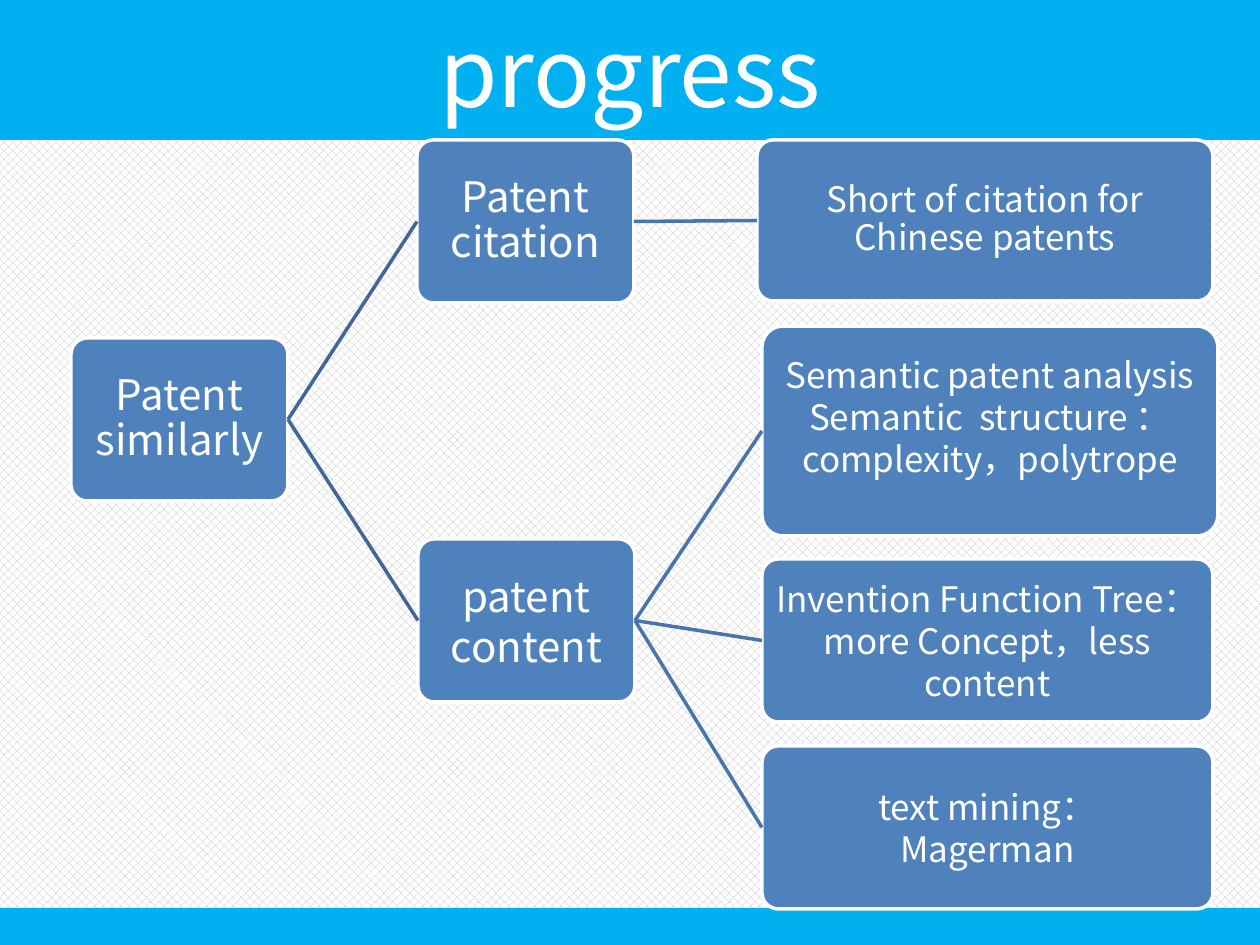
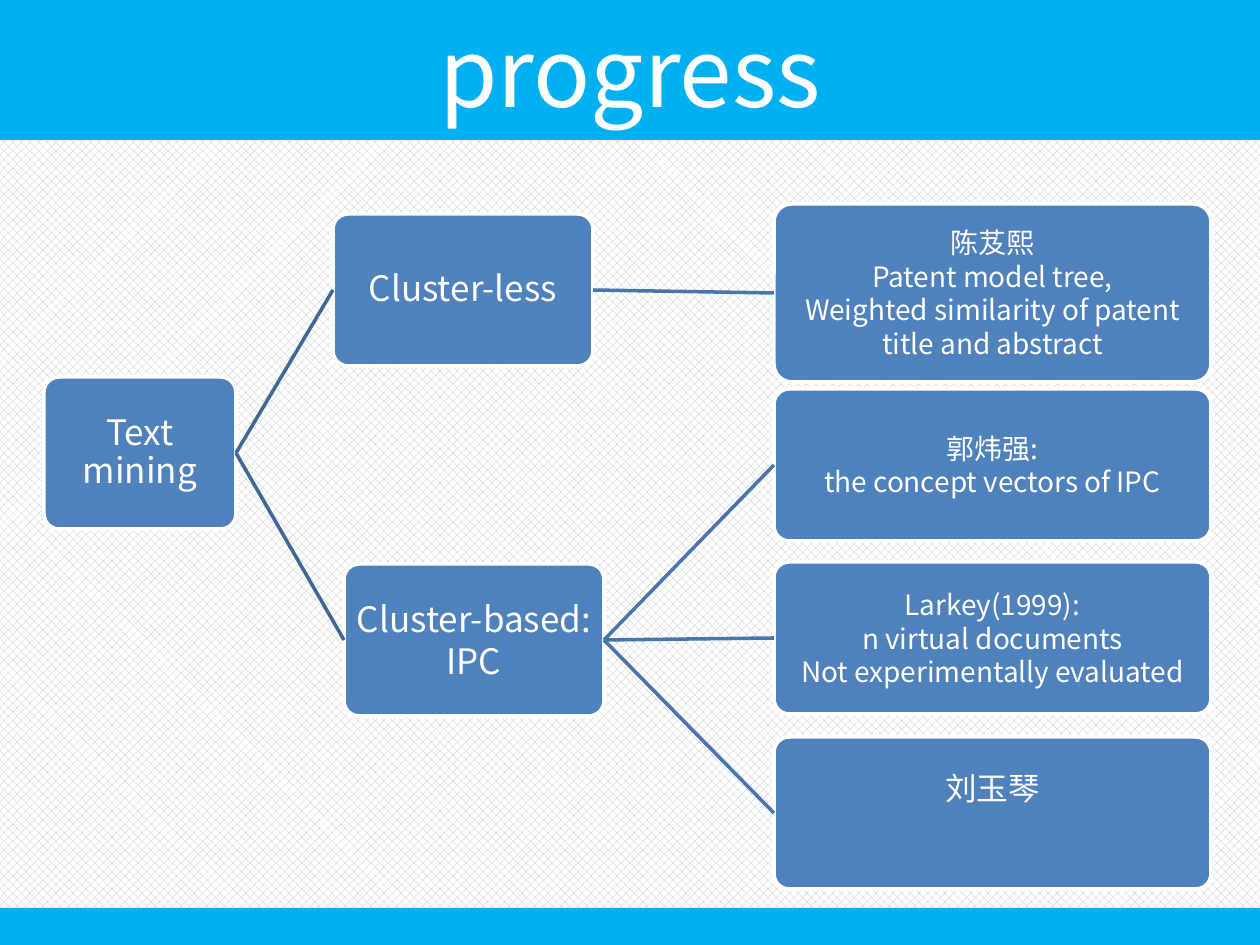
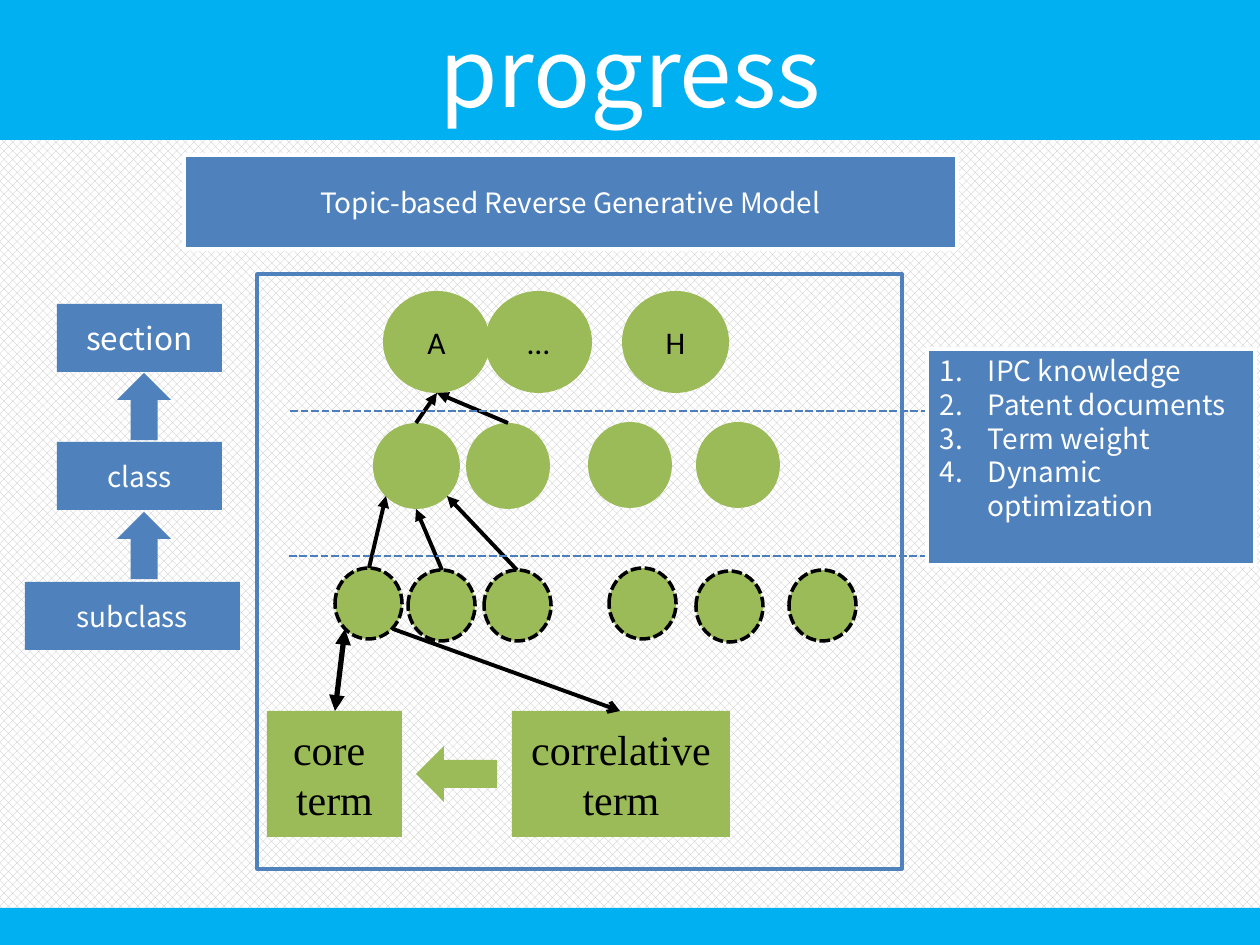
from dataclasses import dataclass
from typing import Any, NamedTuple, Optional

from lxml import etree
from pptx import Presentation
from pptx.dml.color import RGBColor
from pptx.enum.dml import MSO_LINE, MSO_PATTERN
from pptx.enum.shapes import MSO_CONNECTOR, MSO_SHAPE
from pptx.enum.text import MSO_ANCHOR, MSO_AUTO_SIZE, PP_ALIGN
from pptx.oxml.ns import qn
from pptx.util import Emu, Pt

RECT = MSO_SHAPE.RECTANGLE
ROUND = MSO_SHAPE.ROUNDED_RECTANGLE
CIRCLE = MSO_SHAPE.FLOWCHART_CONNECTOR
UP_ARROW = MSO_SHAPE.UP_ARROW
LEFT_ARROW = MSO_SHAPE.LEFT_ARROW
STRAIGHT = MSO_CONNECTOR.STRAIGHT
SYS_DASH = MSO_LINE.SQUARE_DOT
PATTERN = MSO_PATTERN.PERCENT_50
MIDDLE = MSO_ANCHOR.MIDDLE
CENTER = PP_ALIGN.CENTER
LEFT = PP_ALIGN.LEFT
NO_FIT = MSO_AUTO_SIZE.NONE

WHITE = RGBColor(0xFF, 0xFF, 0xFF)
BLACK = RGBColor(0x00, 0x00, 0x00)
GRAY = RGBColor(0xBF, 0xBF, 0xBF)
CYAN = RGBColor(0x00, 0xB0, 0xF0)
BLUE = RGBColor(0x4F, 0x81, 0xBD)
GREEN = RGBColor(0x9B, 0xBB, 0x59)
DIVIDER = RGBColor(0x4B, 0x7E, 0xBC)
BRANCH = RGBColor(0x3F, 0x67, 0x97)
TWIG = RGBColor(0x48, 0x75, 0xAC)

SANS = "Noto Sans CJK SC"
TITLE_FONT = "Noto Sans CJK JP"
LATIN = "Calibri"
SERIF = "Times New Roman"

PX_PER_INCH = 126
SLIDE_W, SLIDE_H = 1260, 945
TITLE_H, FOOTER_TOP = 139, 908
RIGHT_SITE, LEFT_SITE = 3, 1


@dataclass
class Text:
    lines: list[str]
    size: int
    font: str = SANS
    color: RGBColor = WHITE
    spacing: Optional[float] = None
    inset: tuple[int, int] = (13, 6)
    lift: int = 0
    numbered: bool = False


@dataclass
class Block:
    kind: Any
    left: int
    top: int
    width: int
    height: int
    fill: Optional[RGBColor] = BLUE
    line: Optional[RGBColor] = None
    dash: Any = None
    text: Optional[Text] = None


@dataclass
class Node:
    left: int
    top: int
    width: int
    height: int
    lines: list[str]
    size: int
    parent: Optional[int] = None
    spacing: Optional[float] = None
    lift: int = 0
    font: str = SANS


class Link(NamedTuple):
    x1: int
    y1: int
    x2: int
    y2: int
    color: RGBColor = BLACK
    weight: float = 2.25
    head: str = ""
    tail: str = ""
    dash: Any = None


def px(value: int) -> Emu:
    return Emu(round(value * 914400 / PX_PER_INCH))


def apply(obj: Any, **values: Any) -> None:
    for name, value in values.items():
        setattr(obj, name, value)


def paint(sp: Any, fill: Optional[RGBColor], line: Optional[RGBColor],
          weight: float = 2, dash: Any = None) -> None:
    if fill is None:
        sp.fill.background()
    else:
        sp.fill.solid()
        sp.fill.fore_color.rgb = fill
    if line is None:
        sp.line.fill.background()
    else:
        sp.line.color.rgb = line
        apply(sp.line, width=Pt(weight), dash_style=dash)


def number(p: Any) -> None:
    pPr = p._p.get_or_add_pPr()
    indent = px(48)
    pPr.set("marL", str(indent))
    pPr.set("indent", str(-indent))
    etree.SubElement(pPr, qn("a:buFont"), typeface="+mj-lt")
    etree.SubElement(pPr, qn("a:buAutoNum"), type="arabicPeriod")


def write(sp: Any, text: Text) -> None:
    tf = sp.text_frame
    side, edge = text.inset
    apply(tf, word_wrap=True, auto_size=NO_FIT, vertical_anchor=MIDDLE,
          margin_left=px(side), margin_right=px(side),
          margin_top=px(edge), margin_bottom=px(edge + text.lift))
    for i, line in enumerate(text.lines):
        p = tf.add_paragraph() if i else tf.paragraphs[0]
        apply(p, alignment=LEFT if text.numbered else CENTER,
              line_spacing=text.spacing)
        if text.numbered:
            number(p)
        r = p.add_run()
        apply(r, text=line)
        apply(r.font, size=Pt(text.size), name=text.font)
        r.font.color.rgb = text.color
        east_asian = SANS if text.font == LATIN else text.font
        etree.SubElement(r._r.get_or_add_rPr(), qn("a:ea"), typeface=east_asian)


def add_block(slide: Any, b: Block) -> Any:
    sp = slide.shapes.add_shape(b.kind, px(b.left), px(b.top),
                                px(b.width), px(b.height))
    sp.shadow.inherit = False
    paint(sp, b.fill, b.line, dash=b.dash)
    if b.text:
        write(sp, b.text)
    return sp


def add_link(slide: Any, link: Link) -> Any:
    cx = slide.shapes.add_connector(STRAIGHT, px(link.x1), px(link.y1),
                                    px(link.x2), px(link.y2))
    cx.line.color.rgb = link.color
    apply(cx.line, width=Pt(link.weight), dash_style=link.dash)
    ln = cx.line._get_or_add_ln()
    for tag, end in (("a:headEnd", link.head), ("a:tailEnd", link.tail)):
        if end:
            etree.SubElement(ln, qn(tag), type=end)
    etree.SubElement(cx._element.spPr, qn("a:effectLst"))
    return cx


def add_slide(prs: Any, title: str) -> Any:
    slide = prs.slides.add_slide(prs.slide_layouts[5])
    sp = slide.shapes.title
    apply(sp, left=0, top=0, width=px(SLIDE_W), height=px(TITLE_H))
    paint(sp, CYAN, CYAN, 1.5)
    write(sp, Text([title], 54, TITLE_FONT))
    add_block(slide, Block(RECT, 0, FOOTER_TOP, SLIDE_W,
                           SLIDE_H - FOOTER_TOP, CYAN))
    return slide


def add_tree(slide: Any, nodes: list[Node]) -> None:
    shapes = []
    for n in nodes:
        inset = 2 if n.size == 24 else 1
        text = Text(n.lines, n.size, n.font, spacing=n.spacing,
                    inset=(inset, inset), lift=n.lift)
        sp = add_block(slide, Block(ROUND, n.left, n.top, n.width, n.height,
                                    line=WHITE, text=text))
        sp.adjustments[0] = 0.1
        shapes.append(sp)
        if n.parent is not None:
            color = TWIG if n.parent else BRANCH
            cx = add_link(slide, Link(0, 0, 0, 0, color, 2))
            cx.begin_connect(shapes[n.parent], RIGHT_SITE)
            cx.end_connect(sp, LEFT_SITE)


SIMILARITY = [
    Node(71, 338, 217, 163, ["Patent similarly"], 24, spacing=0.9),
    Node(417, 140, 217, 163, ["Patent citation"], 24, 0, 0.9),
    Node(418, 539, 217, 163, ["patent content"], 24, 0),
    Node(757, 140, 456, 161, ["Short of citation for Chinese patents"],
         20, 1, 0.9),
    Node(762, 326, 456, 210,
         ["Semantic patent analysis",
          "Semantic  structure ：complexity，polytrope"], 20, 2, lift=29),
    Node(762, 559, 451, 163,
         ["Invention Function Tree：more Concept，less content"], 20, 2),
    Node(762, 746, 451, 163, ["text mining：", "Magerman"], 20, 2),
]

MINING = [
    Node(44, 377, 192, 152, ["Text mining"], 20, spacing=0.9),
    Node(333, 214, 260, 152, ["Cluster-less"], 20, 0, 0.9),
    Node(344, 564, 260, 152, ["Cluster-based:", "IPC"], 20, 0),
    Node(774, 204, 437, 178,
         ["陈芨熙", "Patent model tree,",
          "Weighted similarity of patent title and abstract"], 16, 1),
    Node(774, 389, 437, 152, ["郭炜强:", "the concept vectors of IPC"], 16, 2),
    Node(774, 562, 437, 152,
         ["Larkey(1999):", "n virtual documents",
          "Not experimentally evaluated"], 16, 2),
    Node(774, 737, 437, 152, ["刘玉琴"], 18, 2, 0.9, 46, LATIN),
]

SECTIONS = [(383, "A"), (485, "…"), (622, "H")]
CLASSES = [(373, 423, 87), (466, 423, 84), (588, 422, 84), (696, 422, 84)]
SUBCLASSES = [(335, 568), (408, 570), (484, 570), (609, 568), (696, 571),
              (789, 570)]
LEVELS = [(57, 304, 165, "section", 18), (57, 442, 165, "class", 16),
          (25, 582, 215, "subclass", 16)]
TERMS = [(267, 135, ["core ", "term"]), (512, 218, ["correlative", "term"])]
STEPS = [(437, 393, 416, 423), (437, 393, 508, 423), (386, 496, 369, 568),
         (416, 509, 442, 570), (447, 496, 517, 570)]
INPUTS = ["IPC knowledge", "Patent documents", "Term weight",
          "Dynamic optimization"]


def add_model(slide: Any) -> None:
    blocks = [Block(CIRCLE, x, y, 67, 71, GREEN, BLACK, SYS_DASH)
              for x, y in SUBCLASSES]
    blocks += [Block(CIRCLE, x, y, w, 86, GREEN) for x, y, w in CLASSES]
    blocks += [Block(CIRCLE, x, 291, 107, 102, GREEN,
                     text=Text([name], 18, LATIN, BLACK))
               for x, name in SECTIONS]
    blocks += [Block(RECT, x, y, w, 68, text=Text([name], size))
               for x, y, w, name, size in LEVELS]
    blocks += [Block(UP_ARROW, 117, y, 54, 67) for y in (373, 512)]
    blocks += [Block(RECT, x, 711, w, 126, GREEN,
                     text=Text(lines, 24, SERIF, BLACK))
               for x, w, lines in TERMS]
    blocks.append(Block(LEFT_ARROW, 416, 746, 81, 56, GREEN))
    for b in blocks:
        add_block(slide, b)

    links = [Link(*ends, head="triangle") for ends in STEPS]
    links += [Link(x, y, x + 668, y, DIVIDER, 1.5, dash=SYS_DASH)
              for x, y in ((290, 411), (289, 556))]
    links += [Link(345, 629, 335, 711, BLACK, 3, "triangle", "triangle"),
              Link(393, 629, 620, 711, tail="arrow")]
    for link in links:
        add_link(slide, link)

    heading = Text(["Topic-based Reverse Generative Model"], 16)
    inputs = Text(INPUTS, 16, lift=38, numbered=True)
    for b in (Block(RECT, 184, 155, 773, 94, line=WHITE, text=heading),
              Block(RECT, 927, 349, 328, 216, line=WHITE, text=inputs),
              Block(RECT, 257, 274, 645, 595, None, BLUE)):
        add_block(slide, b)


def main() -> None:
    prs = Presentation()
    apply(prs, slide_width=px(SLIDE_W), slide_height=px(SLIDE_H))
    fill = prs.slide_master.background.fill
    fill.patterned()
    fill.pattern = PATTERN
    fill.fore_color.rgb = GRAY
    fill.back_color.rgb = WHITE
    for draw, args in ((add_tree, [SIMILARITY]), (add_tree, [MINING]),
                       (add_model, [])):
        draw(add_slide(prs, "progress"), *args)
    prs.save("out.pptx")


if __name__ == "__main__":
    main()
